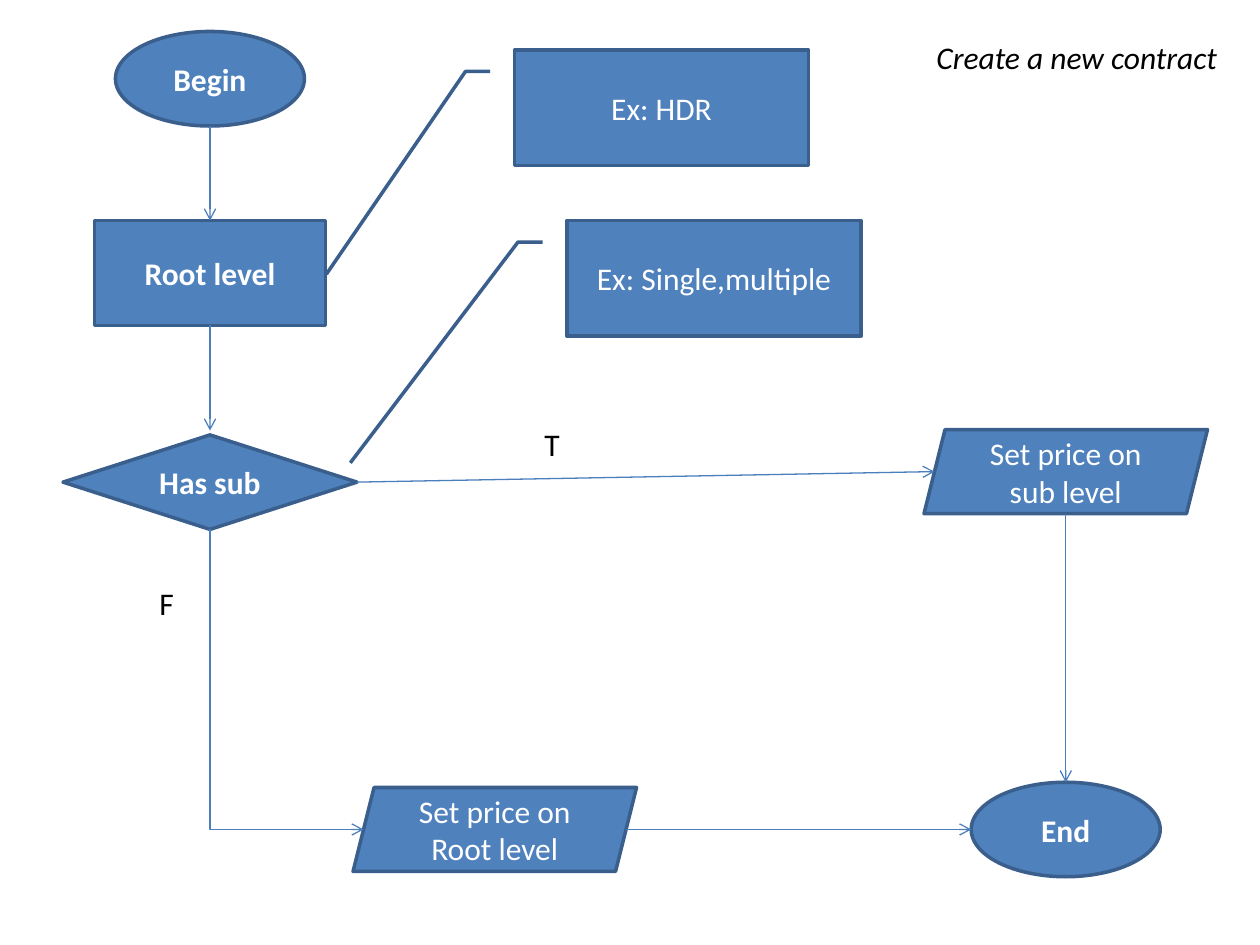
from dataclasses import dataclass

from lxml import etree
from pptx import Presentation
from pptx.dml.color import RGBColor
from pptx.enum.shapes import MSO_CONNECTOR, MSO_SHAPE
from pptx.enum.text import MSO_ANCHOR, MSO_AUTO_SIZE, PP_ALIGN
from pptx.oxml.ns import qn
from pptx.util import Pt

OVAL = MSO_SHAPE.OVAL
BOX = MSO_SHAPE.RECTANGLE
DECISION = MSO_SHAPE.DIAMOND
DATA = MSO_SHAPE.PARALLELOGRAM
CALLOUT = MSO_SHAPE.LINE_CALLOUT_2
STRAIGHT = MSO_CONNECTOR.STRAIGHT
ELBOW = MSO_CONNECTOR.ELBOW
CENTER = PP_ALIGN.CENTER
LEFT = PP_ALIGN.LEFT
MIDDLE = MSO_ANCHOR.MIDDLE
GROW = MSO_AUTO_SIZE.SHAPE_TO_FIT_TEXT


@dataclass(frozen=True)
class Theme:
    font: str = "Calibri"
    size: float = 18
    fill: RGBColor = RGBColor(0x4F, 0x81, 0xBD)
    outline: RGBColor = RGBColor(0x3A, 0x5F, 0x8C)
    arrow: RGBColor = RGBColor(0x4B, 0x7E, 0xBC)
    light: RGBColor = RGBColor(0xFF, 0xFF, 0xFF)
    dark: RGBColor = RGBColor(0x00, 0x00, 0x00)
    outline_width: float = 2
    arrow_width: float = 0.75


THEME = Theme()


def write(frame, words, color, align, bold=False, italic=False):
    frame.word_wrap = True
    paragraph = frame.paragraphs[0]
    paragraph.alignment = align
    run = paragraph.add_run()
    run.text = words
    run.font.name = THEME.font
    run.font.size = Pt(THEME.size)
    run.font.color.rgb = color
    run.font.bold = bold
    run.font.italic = italic


def add_node(slide, kind, place, words, bold=False):
    node = slide.shapes.add_shape(kind, *map(Pt, place))
    node.shadow.inherit = False
    node.fill.solid()
    node.fill.fore_color.rgb = THEME.fill
    node.line.color.rgb = THEME.outline
    node.line.width = Pt(THEME.outline_width)
    node.text_frame.vertical_anchor = MIDDLE
    write(node.text_frame, words, THEME.light, CENTER, bold)
    return node


def add_callout(slide, place, words, target):
    callout = add_node(slide, CALLOUT, place, words)
    for index, value in enumerate((0.188, -0.083, 0.188, -0.167, *target)):
        callout.adjustments[index] = value


def add_label(slide, place, words, italic=False):
    label = slide.shapes.add_textbox(*map(Pt, place))
    label.text_frame.auto_size = GROW
    write(label.text_frame, words, THEME.dark, LEFT, italic=italic)


def add_arrow(slide, start, end, kind=STRAIGHT):
    arrow = slide.shapes.add_connector(kind, *map(Pt, (*start, *end)))
    arrow.line.color.rgb = THEME.arrow
    arrow.line.width = Pt(THEME.arrow_width)
    properties = arrow.element.spPr
    etree.SubElement(properties.find(qn("a:ln")), qn("a:tailEnd"), type="arrow")
    etree.SubElement(properties, qn("a:effectLst"))
    return arrow


def add_down_right_arrow(slide, start, end):
    middle_x, middle_y = (start[0] + end[0]) / 2, (start[1] + end[1]) / 2
    half_run, half_drop = (end[0] - start[0]) / 2, (end[1] - start[1]) / 2
    arrow = add_arrow(
        slide,
        (middle_x + half_drop, middle_y - half_run),
        (middle_x - half_drop, middle_y + half_run),
        ELBOW,
    )
    properties = arrow.element.spPr
    properties.find(qn("a:xfrm")).set("rot", str(270 * 60000))
    properties.find(qn("a:prstGeom")).set("prst", "bentConnector2")


def main():
    deck = Presentation()
    deck.slide_width, deck.slide_height = Pt(720), Pt(540)
    slide = deck.slides.add_slide(deck.slide_layouts[6])

    main_x, end_x, bottom_y = 120, 609, 474

    add_node(slide, OVAL, (66, 18, 108, 54), "Begin", bold=True)
    add_node(slide, OVAL, (555, 447, 108, 54), "End", bold=True)
    add_node(slide, BOX, (54, 126, 132, 60), "Root level", bold=True)
    add_callout(slide, (294, 28.5, 168, 66), "Ex: HDR", (1.943, -0.64))
    add_node(slide, DECISION, (36, 248.5, 168, 54), "Has sub", bold=True)
    add_callout(slide, (324, 126, 168, 66), "Ex: Single,multiple", (2.099, -0.737))
    add_node(slide, DATA, (201.75, 450, 162, 48), "Set price on Root level")
    add_node(slide, DATA, (528, 245.5, 162, 48), "Set price on sub level")

    for start, end in (
        ((main_x, 72), (main_x, 126)),
        ((main_x, 186), (main_x, 246)),
        ((204, 275.5), (534, 269.5)),
        ((end_x, 293.5), (end_x, 447)),
        ((357.75, bottom_y), (555, bottom_y)),
    ):
        add_arrow(slide, start, end)
    add_down_right_arrow(slide, (main_x, 302.5), (207.75, bottom_y))

    add_label(slide, (84, 330, 54, 30), "F")
    add_label(slide, (304, 239.5, 54, 30), "T")
    add_label(slide, (528, 18, 186, 29), "Create a new contract", italic=True)

    deck.save("out.pptx")


main()
